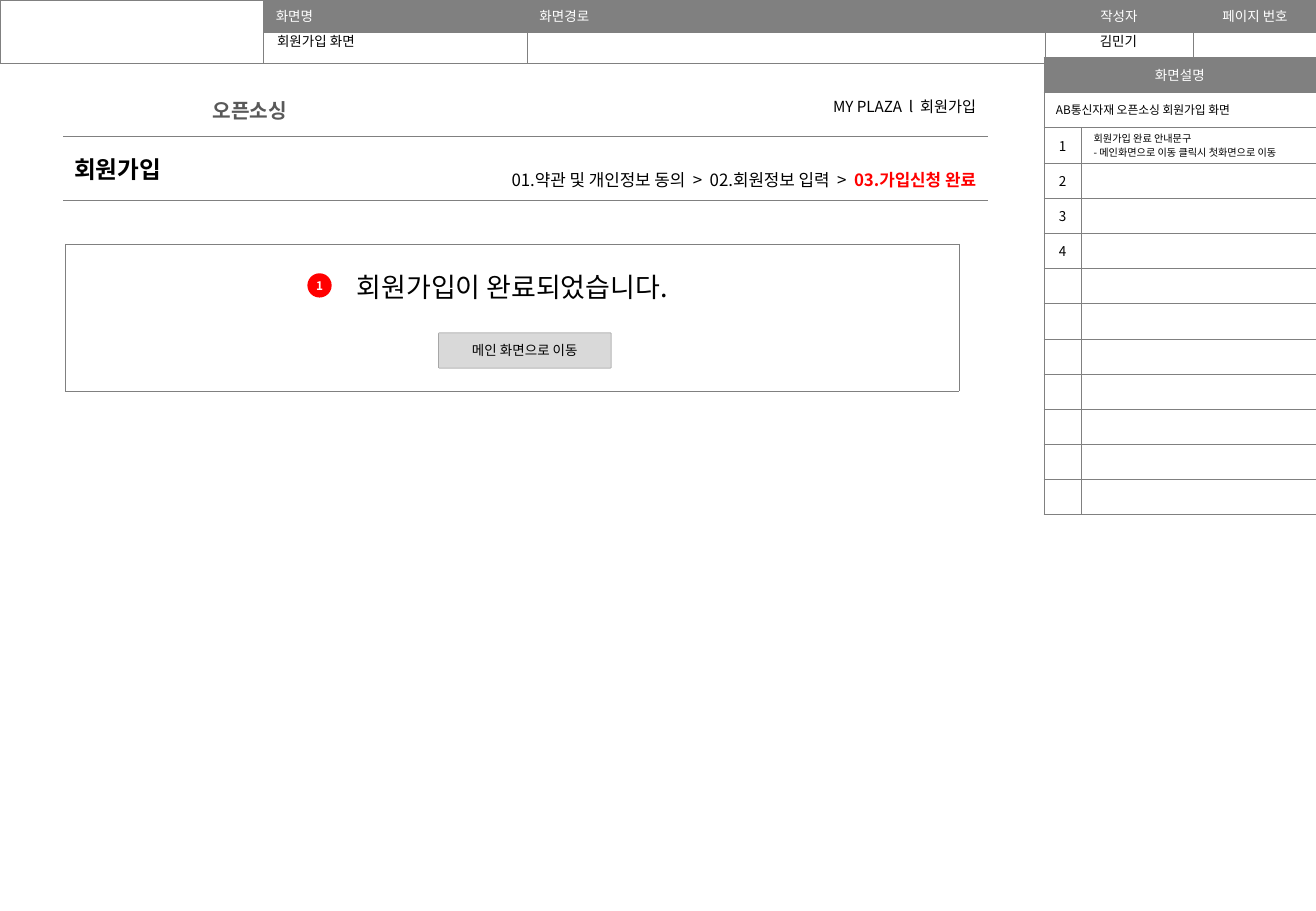
from lxml.etree import SubElement
from pptx import Presentation
from pptx.dml.color import RGBColor
from pptx.enum.shapes import MSO_SHAPE
from pptx.enum.text import MSO_ANCHOR, MSO_AUTO_SIZE, PP_ALIGN
from pptx.oxml.ns import qn
from pptx.util import Inches, Pt

FONT = "Noto Sans CJK KR"
COLORS = {"gray": "808080", "white": "FFFFFF", "black": "000000",
          "logo": "595959", "button": "D9D9D9", "red": "FF0000"}
LEFT, CENTER, RIGHT = PP_ALIGN.LEFT, PP_ALIGN.CENTER, PP_ALIGN.RIGHT
TOP, MIDDLE = MSO_ANCHOR.TOP, MSO_ANCHOR.MIDDLE

SCREEN_NAME = "회원가입 화면"
AUTHOR = "김민기"
HEADER = [("", LEFT), ("화면명", LEFT), ("화면경로", LEFT),
          ("작성자", CENTER), ("페이지 번호", CENTER)]
HEADER_COLS = [2.17, 2.17, 4.26, 1.22, 1.02]
SERVICE = "오픈소싱"
PAGE_TITLE = "회원가입"
BREADCRUMB = "MY PLAZA  l  회원가입"
STEPS = "01.약관 및 개인정보 동의  >  02.회원정보 입력  >  "
CURRENT_STEP = "03.가입신청 완료"
DONE_MESSAGE = "회원가입이 완료되었습니다."
BUTTON = "메인 화면으로 이동"
NOTES_HEAD = "화면설명"
NOTES_SUMMARY = "AB통신자재 오픈소싱 회원가입 화면"
NOTES = [("1", ["회원가입 완료 안내문구", "- 메인화면으로 이동 클릭시 첫화면으로 이동"]),
         ("2", []), ("3", []), ("4", [])]
NOTE_ROWS = 11


def rgb(name):
    return RGBColor.from_string(COLORS[name])


def add_run(p, text, size, color="black", bold=False):
    r = p.add_run()
    r.text = text
    for key, value in {"size": Pt(size), "bold": bold, "name": FONT}.items():
        setattr(r.font, key, value)
    r.font.color.rgb = rgb(color)
    SubElement(r._r.get_or_add_rPr(), qn("a:ea"), typeface=FONT)


def write(tf, lines, size, color="black", bold=False, align=LEFT):
    for i, line in enumerate(lines):
        p = tf.paragraphs[0] if i == 0 else tf.add_paragraph()
        p.alignment = align
        add_run(p, line, size, color, bold)


def format_frame(tf, inset=None, anchor=TOP, wrap=True):
    values = {"word_wrap": wrap, "vertical_anchor": anchor,
              "auto_size": MSO_AUTO_SIZE.NONE}
    if inset is not None:
        for side in ("left", "right", "top", "bottom"):
            values["margin_" + side] = Inches(inset)
    for key, value in values.items():
        setattr(tf, key, value)


def add_text(s, box, lines, size, inset=None, anchor=TOP, wrap=True, **style):
    tf = s.shapes.add_textbox(*map(Inches, box)).text_frame
    format_frame(tf, inset, anchor, wrap)
    write(tf, lines, size, **style)
    return tf


def add_pill(s, box, radius, fill, line, text, size, inset, **style):
    sp = s.shapes.add_shape(MSO_SHAPE.ROUNDED_RECTANGLE, *map(Inches, box))
    sp.adjustments[0] = radius
    sp.shadow.inherit = False
    sp.fill.solid()
    sp.fill.fore_color.rgb = rgb(fill)
    if line:
        sp.line.color.rgb = rgb(line)
        sp.line.width = Pt(0.25)
    else:
        sp.line.fill.background()
    format_frame(sp.text_frame, inset, MIDDLE)
    write(sp.text_frame, [text], size, align=CENTER, **style)


def add_grid(s, left, top, cols, rows):
    """Add a table without its banded style."""
    frame = s.shapes.add_table(len(rows), len(cols), Inches(left), Inches(top),
                               Inches(sum(cols)), Inches(sum(rows)))
    table = frame.table
    table.first_row = table.horz_banding = False
    for column, width in zip(table.columns, cols):
        column.width = Inches(width)
    for row, height in zip(table.rows, rows):
        row.height = Inches(height)
    return table


def fill_cell(cell, lines=(), size=8, fill=None, anchor=MIDDLE, margins=None,
              side_line=("gray", 0.25), **style):
    """Set borders, fill, margins (left, top, right, bottom) and text."""
    tcPr = cell._tc.get_or_add_tcPr()
    for side in "LRTB":
        color, width = side_line if side in "LR" else ("gray", 0.25)
        ln = SubElement(tcPr, qn("a:ln" + side), w=str(Pt(width)))
        SubElement(SubElement(ln, qn("a:solidFill")), qn("a:srgbClr"), val=COLORS[color])
    if fill:
        cell.fill.solid()
        cell.fill.fore_color.rgb = rgb(fill)
    else:
        cell.fill.background()
    cell.vertical_anchor = anchor
    for side, value in zip(("left", "top", "right", "bottom"), margins or ()):
        setattr(cell, "margin_" + side, Inches(value))
    if lines:
        write(cell.text_frame, lines, size, **style)
    else:
        SubElement(cell.text_frame.paragraphs[0]._p, qn("a:endParaRPr"), sz=str(size * 100))


def add_header(s):
    table = add_grid(s, 0, 0, HEADER_COLS, [0.26, 0.26])
    table.cell(0, 0).merge(table.cell(1, 0))
    for i, (label, align) in enumerate(HEADER):
        fill_cell(table.cell(0, i), [label] if label else [], color="white", align=align,
                  fill="gray" if label else None, anchor=TOP)
        fill_cell(table.cell(1, i))


def add_notes(s):
    margins = (0.1, 0.02, 0.1, 0.02)
    table = add_grid(s, 8.59, 0.47, [0.31, 1.93], [0.29] * (NOTE_ROWS + 2))
    heads = [([NOTES_HEAD], 8, "gray", "white", CENTER),
             ([NOTES_SUMMARY], 7, "white", "black", LEFT)]
    for i, (lines, size, fill, color, align) in enumerate(heads):
        table.cell(i, 0).merge(table.cell(i, 1))
        fill_cell(table.cell(i, 0), lines, size, fill, margins=margins, color=color, align=align)
        fill_cell(table.cell(i, 1), fill=fill, margins=margins)
    blanks = [("", [])] * (NOTE_ROWS - len(NOTES))
    for i, (number, lines) in enumerate(NOTES + blanks, len(heads)):
        fill_cell(table.cell(i, 0), [number] if number else [], 8, "white",
                  margins=margins, align=CENTER)
        fill_cell(table.cell(i, 1), lines, 6, "white", margins=margins)


def main():
    prs = Presentation()
    prs.slide_width, prs.slide_height = Inches(10.83), Inches(7.5)
    s = prs.slides.add_slide(prs.slide_layouts[5])

    title = s.shapes.title
    box = {"left": 2.18, "top": 0.22, "width": 2.15, "height": 0.24}
    for key, value in box.items():
        setattr(title, key, Inches(value))
    format_frame(title.text_frame)
    write(title.text_frame, [SCREEN_NAME], 8)

    add_header(s)
    add_text(s, (8.59, 0.22, 1.23, 0.24), [AUTHOR], 8, align=CENTER)

    heading = add_grid(s, 0.51, 1.12, [7.63], [0.53])
    fill_cell(heading.cell(0, 0), [PAGE_TITLE], 14, bold=True, side_line=("white", 1))
    add_text(s, (1.65, 0.76, 0.88, 0.3), [SERVICE], 12, wrap=False, color="logo", bold=True)
    steps = add_text(s, (3.46, 1.33, 4.67, 0.3), [STEPS], 10, 0.1, MIDDLE, align=RIGHT)
    add_run(steps.paragraphs[0], CURRENT_STEP, 10, "red", True)
    add_text(s, (3.46, 0.73, 4.67, 0.3), [BREADCRUMB], 9, 0.1, MIDDLE, align=RIGHT)

    panel = add_grid(s, 0.54, 2.01, [7.35], [1.21])
    fill_cell(panel.cell(0, 0), [DONE_MESSAGE], 16, "white", TOP,
              (0.04, 0.18, 0.04, 0.04), align=CENTER)
    add_pill(s, (3.61, 2.74, 1.42, 0.29), 0.02, "button", "gray", BUTTON, 8, 0.1)

    add_notes(s)
    add_pill(s, (2.53, 2.25, 0.2, 0.2), 0.5, "red", None, "1", 7, 0,
             color="white", bold=True)
    prs.save("out.pptx")


if __name__ == "__main__":
    main()
